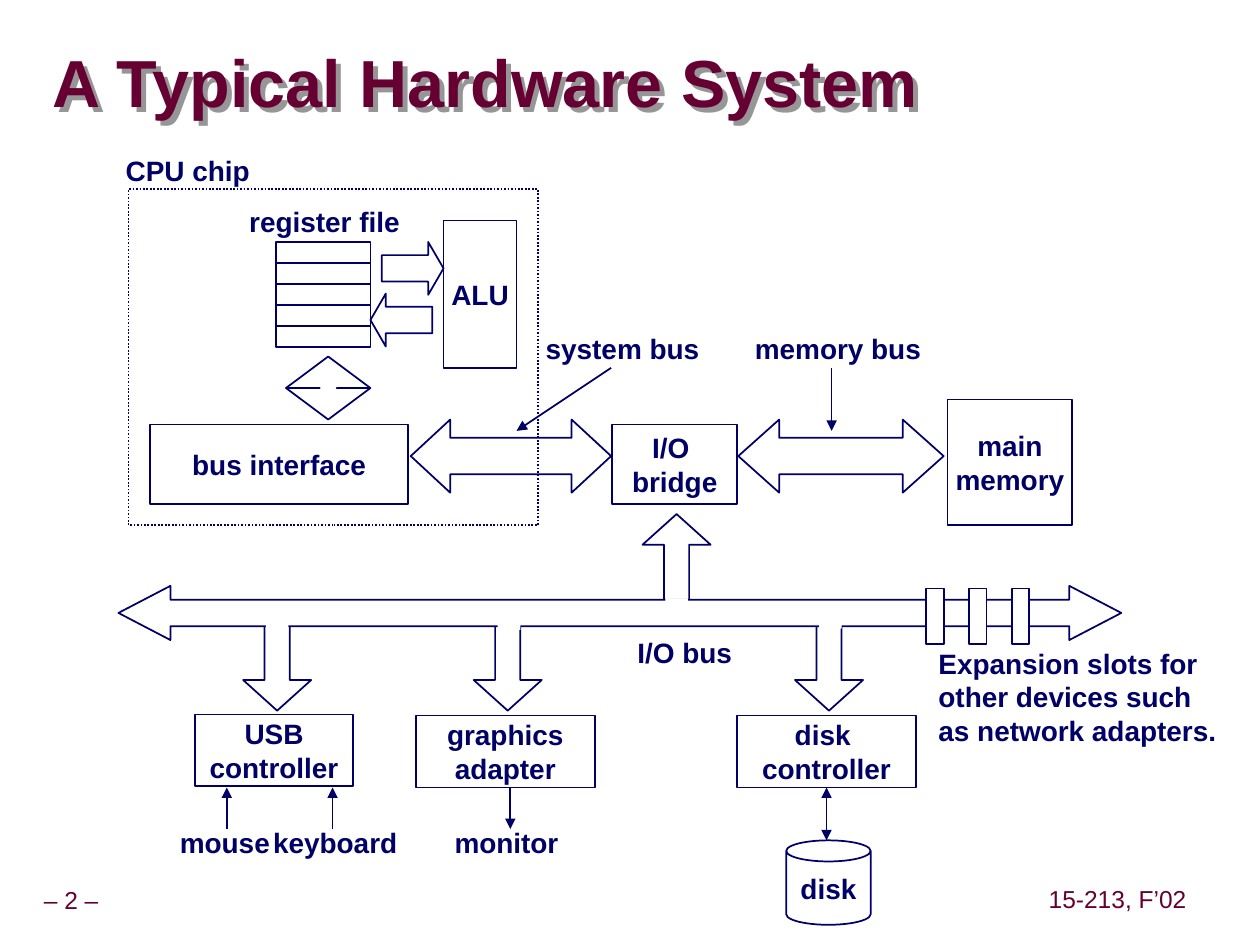
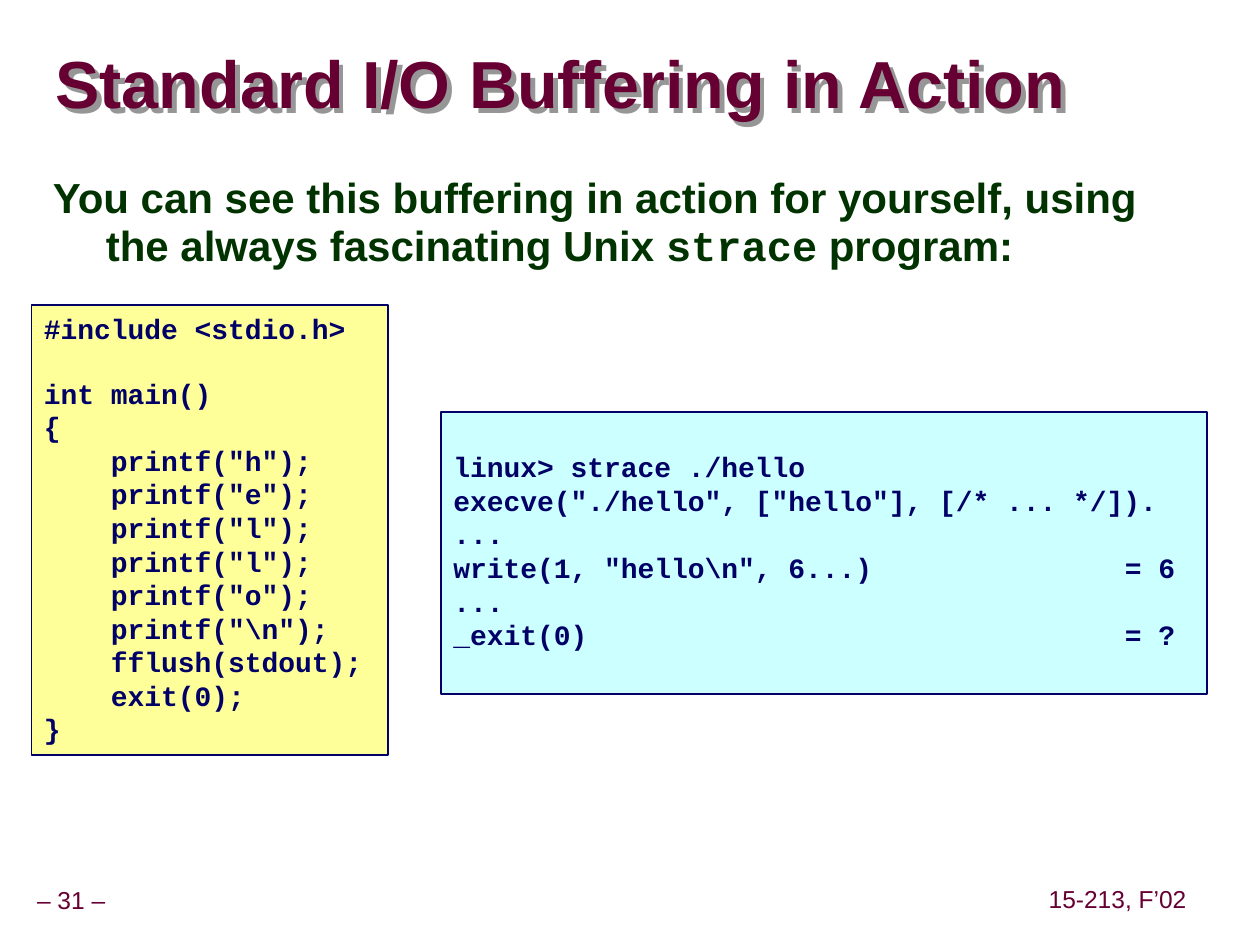
from dataclasses import dataclass

from lxml.etree import SubElement
from pptx import Presentation
from pptx.dml.color import RGBColor
from pptx.enum.dml import MSO_LINE
from pptx.enum.shapes import MSO_CONNECTOR, MSO_SHAPE as Kind
from pptx.enum.text import MSO_ANCHOR as Anchor, MSO_AUTO_SIZE as Fit, PP_ALIGN as Align
from pptx.oxml.ns import qn
from pptx.util import Inches, Pt

# Shared look
HUES = {"navy": "000066", "wine": "660033", "green": "003300", "grey": "969696",
        "white": "FFFFFF", "cream": "FFFF99", "aqua": "CCFFFF"}
SANS, MONO = "Arial", "Courier New"


def hue(name: str) -> RGBColor:
    return RGBColor.from_string(HUES[name])


@dataclass(frozen=True)
class Style:
    size: int = 16
    color: str = "navy"
    bold: bool = True
    face: str = SANS
    align: Align = Align.CENTER
    space: float = 1.0


LABEL = Style()
NOTE = Style(align=Align.LEFT)
CODE = Style(face=MONO, align=Align.LEFT)
HEAD = Style(38, "wine", align=Align.LEFT, space=0.87)
LEAD = Style(24, "green", align=Align.LEFT, space=0.95)
FOOT = Style(14, "wine", bold=False, space=0.9)


@dataclass
class Box:
    left: float
    top: float
    wide: float
    high: float
    text: str = ""
    kind: Kind = Kind.RECTANGLE
    adj: tuple[float, ...] = ()
    fill: str = ""
    line: str = "navy"


@dataclass
class Label:
    left: float
    top: float
    wide: float
    text: str
    high: float = 0.37
    style: Style = LABEL


@dataclass
class Wire:
    start: tuple[float, float]
    end: tuple[float, float]
    head: bool = False
    tail: bool = False


# Text helpers
def add_run(par, text: str, style: Style, face: str = "") -> None:
    run = par.add_run()
    run.text = text
    font = run.font
    font.size, font.bold, font.name = Pt(style.size), style.bold, face or style.face
    font.color.rgb = hue(style.color)


def set_par(par, style: Style) -> None:
    par.alignment, par.line_spacing = style.align, style.space
    par.space_before = Pt(0)


def write(frame, text: str, style: Style) -> None:
    for i, line in enumerate(text.split("\n")):
        par = frame.add_paragraph() if i else frame.paragraphs[0]
        set_par(par, style)
        add_run(par, line, style)


def set_frame(frame, side: float, top: float, anchor: Anchor, wrap: bool) -> None:
    frame.margin_left = frame.margin_right = Inches(side)
    frame.margin_top = frame.margin_bottom = Inches(top)
    frame.vertical_anchor, frame.word_wrap = anchor, wrap
    frame.auto_size = Fit.NONE


def place(shape, left: float, top: float, wide: float, high: float) -> None:
    shape.left, shape.top = Inches(left), Inches(top)
    shape.width, shape.height = Inches(wide), Inches(high)


# Drawing helpers
def draw_box(slide, box: Box):
    shape = slide.shapes.add_shape(box.kind, Inches(box.left), Inches(box.top),
                                   Inches(box.wide), Inches(box.high))
    shape.shadow.inherit = False
    for i, value in enumerate(box.adj):
        shape.adjustments[i] = value
    if box.fill:
        shape.fill.solid()
        shape.fill.fore_color.rgb = hue(box.fill)
    else:
        shape.fill.background()
    if box.line:
        shape.line.color.rgb = hue(box.line)
        shape.line.width = Pt(1)
    else:
        shape.line.fill.background()
    if box.text:
        set_frame(shape.text_frame, 0.1, 0.05, Anchor.MIDDLE, False)
        write(shape.text_frame, box.text, LABEL)
    return shape


def draw_label(slide, label: Label, side: float = 0.1) -> None:
    shape = slide.shapes.add_textbox(Inches(label.left), Inches(label.top),
                                     Inches(label.wide), Inches(label.high))
    set_frame(shape.text_frame, side, 0.05, Anchor.MIDDLE, False)
    write(shape.text_frame, label.text, label.style)


def draw_wire(slide, wire: Wire):
    ends = [Inches(n) for n in (*wire.start, *wire.end)]
    link = slide.shapes.add_connector(MSO_CONNECTOR.STRAIGHT, *ends)
    link.line.color.rgb = hue("navy")
    link.line.width = Pt(1)
    props = link.element.spPr
    line = props.find(qn("a:ln"))
    for tag, on in (("a:headEnd", wire.head), ("a:tailEnd", wire.tail)):
        if on:
            SubElement(line, qn(tag), type="triangle")
    SubElement(props, qn("a:effectLst"))
    return link


def add_slide(deck, layout: int, title: str, spot: tuple[float, ...], page: int):
    slide = deck.slides.add_slide(deck.slide_layouts[layout])
    head = slide.shapes.title
    place(head, *spot)
    set_frame(head.text_frame, 0, 0, Anchor.MIDDLE, True)
    write(head.text_frame, title, HEAD)
    # Grey shadow behind the title
    glow = SubElement(head.element.spPr, qn("a:effectLst"))
    cast = SubElement(glow, qn("a:outerShdw"), dist="50800", dir="2700000", algn="ctr")
    SubElement(cast, qn("a:srgbClr"), val=HUES["grey"])
    # Footer
    draw_label(slide, Label(-0.09, 7, 1.31, f"– {page} –", 0.31, FOOT), 0.05)
    draw_label(slide, Label(8.27, 6.99, 1.2, "15-213, F’02", 0.31, FOOT), 0.05)
    return slide


# Slide: hardware system
def add_system(deck) -> None:
    slide = add_slide(deck, 5, "A Typical Hardware System", (0.42, 0.37, 7.81, 0.63), 2)
    both, stem = Kind.LEFT_RIGHT_ARROW, (0.37, 0.45)

    # CPU chip, bridge and memory
    chip = draw_box(slide, Box(1.02, 1.5, 3.25, 2.67))
    chip.line.dash_style = MSO_LINE.ROUND_DOT
    parts = [
        Box(7.52, 3.17, 0.99, 1, "main\nmemory"),
        Box(5.86, 3.33, 1.63, 0.58, kind=both, adj=(0.5, 0.56)),
        Box(4.86, 3.37, 0.99, 0.63, "I/O \nbridge"),
        Box(3.26, 3.33, 1.59, 0.58, kind=both, adj=(0.5, 0.54)),
        Box(1.19, 3.37, 2.05, 0.63, "bus interface"),
        Box(3.03, 1.92, 0.49, 0.42, kind=Kind.RIGHT_ARROW, adj=(0.5, 0.29)),
        Box(2.94, 2.33, 0.49, 0.42, kind=Kind.LEFT_ARROW, adj=(0.5, 0.29)),
        Box(3.52, 1.75, 0.58, 1.17, "ALU"),
        Box(2.27, 2.83, 0.67, 0.5, kind=Kind.UP_DOWN_ARROW, adj=(0.5, 0.2)),
        Box(5.1, 4.08, 0.54, 0.75, kind=Kind.UP_ARROW, adj=stem),
    ]
    rows = [Box(2.19, 1.92 + i / 6, 0.75, 1 / 6) for i in range(5)]
    # Devices and their drops from the bus
    drops = [Box(x, 4.89, 0.54, 0.75, kind=Kind.DOWN_ARROW, adj=stem)
             for x in (1.93, 3.76, 6.31)]
    units = [
        Box(1.55, 5.67, 1.25, 0.57, "USB\ncontroller"),
        Box(3.3, 5.68, 1.42, 0.57, "graphics\nadapter"),
        Box(6.24, 6.67, 0.67, 0.67, "disk", Kind.CAN, (0.25,)),
    ]
    # I/O bus, with white patches that open its joints
    bus = Box(0.94, 4.65, 7.96, 0.43, kind=both, adj=(0.49, 0.96), fill="white")
    gaps = [Box(x, y, 0.18, 0.17, fill="white", line="")
            for x, y in ((2.11, 4.84), (3.95, 4.83), (6.5, 4.82), (5.28, 4.75))]
    slots = [Box(7.35 + i * 0.34, 4.67, 0.14, 0.44, fill="white") for i in range(3)]
    for box in [*parts, *rows, *drops, *units, bus, *gaps, *slots]:
        draw_box(slide, box)
    disk = draw_box(slide, Box(5.85, 5.68, 1.42, 0.57, "disk \ncontroller"))

    # Wires
    for wire in (
        Wire((4.85, 2.92), (4.1, 3.42), tail=True),
        Wire((6.6, 2.92), (6.6, 3.42), tail=True),
        Wire((1.8, 6.25), (1.8, 6.58), head=True),
        Wire((2.64, 6.25), (2.64, 6.58), head=True),
        Wire((4.05, 6.25), (4.05, 6.58), tail=True),
    ):
        draw_wire(slide, wire)
    link = draw_wire(slide, Wire((6.56, 6.25), (6.56, 6.67), head=True, tail=True))
    link.begin_connect(disk, 2)

    # Labels
    for label in (
        Label(0.9, 1.17, 1.18, "CPU chip"),
        Label(1.88, 1.57, 1.39, "register file"),
        Label(4.23, 2.58, 1.42, "system bus"),
        Label(5.89, 2.58, 1.52, "memory bus"),
        Label(4.96, 4.99, 0.95, "I/O bus"),
        Label(1.33, 6.5, 0.91, "mouse"),
        Label(2.07, 6.5, 1.18, "keyboard"),
        Label(3.51, 6.5, 1.02, "monitor"),
        Label(7.35, 5.08, 2.4, "Expansion slots for\nother devices such\nas network adapters.",
              0.9, NOTE),
    ):
        draw_label(slide, label)


# Slide: buffering
SOURCE = r"""#include <stdio.h>
int main()
{
    printf("h");
    printf("e");
    printf("l");
    printf("l");
    printf("o");
    printf("\n");
    fflush(stdout);
    exit(0);
}"""
TRACE = [
    "linux> strace ./hello",
    'execve("./hello", ["hello"], [/* ... */]).',
    "...",
    'write(1, "hello\\n", 6...)\t= 6',
    "...",
    "_exit(0)\t= ?",
]


def draw_code(slide, box: Box, text: str, top: float):
    frame = draw_box(slide, box).text_frame
    set_frame(frame, 0.1, 0.05, Anchor.TOP, True)
    frame.margin_top = Inches(top)
    write(frame, text, CODE)
    return frame.paragraphs


def add_buffer(deck) -> None:
    slide = add_slide(deck, 1, "Standard I/O Buffering in Action",
                      (0.44, 0.27, 9.53, 0.85), 31)
    # Lead sentence with a hanging indent
    body = slide.placeholders[1]
    place(body, 0.32, 1.34, 9.09, 5.71)
    set_frame(body.text_frame, 0.1, 0.05, Anchor.TOP, True)
    par = body.text_frame.paragraphs[0]
    props = par._p.get_or_add_pPr()
    props.set("marL", str(Inches(0.42)))
    props.set("indent", str(-Inches(0.42)))
    SubElement(props, qn("a:buNone"))
    set_par(par, LEAD)
    add_run(par, "You can see this buffering in action for yourself, "
                 "using the always fascinating Unix ", LEAD)
    add_run(par, "strace", LEAD, MONO)
    add_run(par, " program:", LEAD)

    # Trace, with results lined up on a tab stop
    lines = draw_code(slide, Box(3.5, 3.27, 6.08, 2.24, fill="aqua"), "\n".join(TRACE), 0.3)
    for par in lines:
        tabs = SubElement(par._p.get_or_add_pPr(), qn("a:tabLst"))
        SubElement(tabs, qn("a:tab"), pos=str(Inches(5.33)), algn="l")

    # Program
    lines = draw_code(slide, Box(0.25, 2.42, 2.83, 3.57, fill="cream"), SOURCE, 0.05)
    lines[1].space_before = Pt(18)


def main() -> None:
    deck = Presentation()
    deck.slide_width, deck.slide_height = Inches(10), Inches(7.5)
    add_system(deck)
    add_buffer(deck)
    deck.save("out.pptx")


if __name__ == "__main__":
    main()
